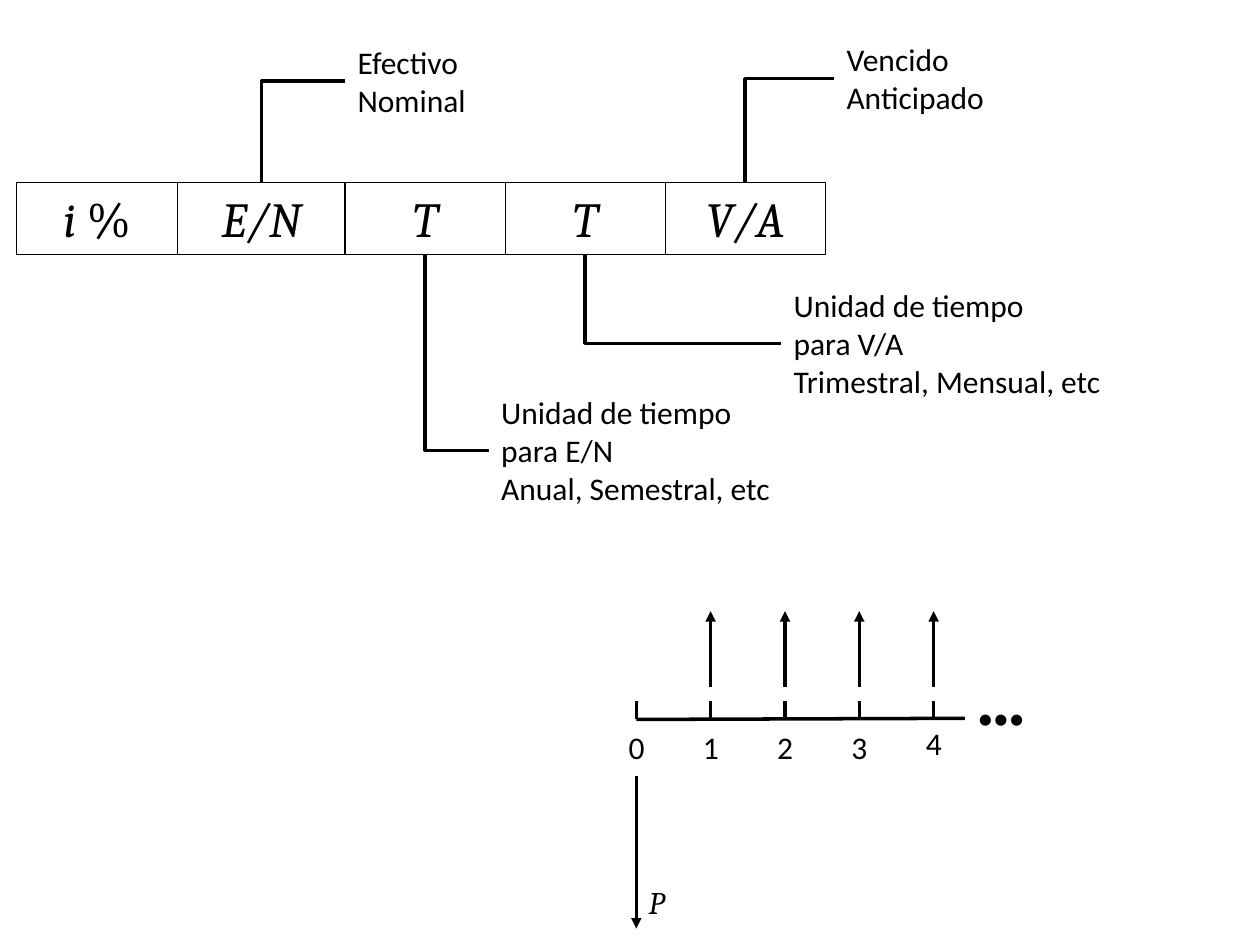
from pptx import Presentation
from pptx.dml.color import RGBColor
from pptx.enum import shapes, text
from pptx.oxml.ns import qn
from pptx.util import Inches, Pt
from lxml import etree

THEME = {
    "ink": RGBColor(0, 0, 0),
    "paper": RGBColor(255, 255, 255),
    "label": {"name": "Calibri", "size": Pt(18)},
    "symbol": {"name": "Cambria", "size": Pt(18), "italic": True},
    "formula": {"name": "Cambria", "size": Pt(28), "italic": True},
    "line": Pt(2),
    "border": Pt(0.75),
}

deck = Presentation()
deck.slide_width, deck.slide_height = Inches(10), Inches(7.5)
page = deck.slides.add_slide(deck.slide_layouts[6])


def add_text(lines, left, top, width, height, style="label", wrap=False):
    """Add a text box; each line is a list of (words, font overrides) spans."""
    box = page.shapes.add_textbox(
        Inches(left), Inches(top), Inches(width), Inches(height))
    box.text_frame.word_wrap = wrap
    box.text_frame.auto_size = text.MSO_AUTO_SIZE.SHAPE_TO_FIT_TEXT
    for index, spans in enumerate(lines):
        para = box.text_frame.paragraphs[0] if index == 0 else box.text_frame.add_paragraph()
        for words, overrides in spans:
            span = para.add_run()
            span.text = words
            for name, value in {**THEME[style], **overrides}.items():
                setattr(span.font, name, value)
            span.font.color.rgb = THEME["ink"]
    return box


def add_line(x1, y1, x2, y2, arrow=False, kind=shapes.MSO_CONNECTOR.STRAIGHT):
    line = page.shapes.add_connector(
        kind, Inches(x1), Inches(y1), Inches(x2), Inches(y2))
    line.line.color.rgb = THEME["ink"]
    line.line.width = THEME["line"]
    properties = line._element.spPr
    if arrow:
        etree.SubElement(properties.find(qn("a:ln")), qn("a:tailEnd"), type="triangle")
    etree.SubElement(properties, qn("a:effectLst"))
    return line


# Cash flow diagram
AXIS_Y, START_X, STEP = 5.71, 5.05, 0.59
add_line(START_X, AXIS_Y, 7.95, 5.7)
dots = add_text([[("•••", {})]], 7.66, 5.49, 0.58, 0.4)
dots.fill.solid()
dots.fill.fore_color.rgb = THEME["paper"]

for period in range(5):
    x = START_X + period * STEP
    label_top = 5.7 if period == 4 else 5.73
    add_text([[(str(period), {})]], x - 0.16, label_top, 0.33, 0.4)
    add_line(x, AXIS_Y, x, 5.56)
    if period:
        add_line(x, 5.45, x, 4.85, arrow=True)

add_line(START_X, 6.16, START_X, 7.37, arrow=True)
add_text([[("P", {})]], START_X, 6.96, 0.38, 0.4, "symbol", wrap=True)

# Interest rate notation: cells side by side
cells = []
cell_left = 0.13
for spans, width in [
    ([("i ", {}), ("%", {"italic": False})], 1.28),
    ([("E/N", {})], 1.33),
    ([("T", {})], 1.27),
    ([("T", {})], 1.27),
    ([("V/A", {})], 1.27),
]:
    cell = add_text([spans], cell_left, 1.45, width, 0.57, "formula", wrap=True)
    cell.text_frame.paragraphs[0].alignment = text.PP_ALIGN.CENTER
    cell.line.color.rgb = THEME["ink"]
    cell.line.width = THEME["border"]
    cells.append(cell)
    cell_left += width

# Explanations, each joined to the top (0) or bottom (2) of its cell
for cell_index, side, lines, area in [
    (1, 0, ["Efectivo", "Nominal"], (2.74, 0.29, 1.07, 0.71)),
    (4, 0, ["Vencido", "Anticipado"], (6.62, 0.27, 1.31, 0.71)),
    (2, 2, ["Unidad de tiempo", "para E/N", "Anual, Semestral, etc"],
     (3.88, 3.07, 2.37, 1.01)),
    (3, 2, ["Unidad de tiempo", "para V/A", "Trimestral, Mensual, etc"],
     (6.2, 2.22, 2.69, 1.01)),
]:
    note = add_text([[(words, {})] for words in lines], *area)
    elbow = add_line(0, 0, 0, 0, kind=shapes.MSO_CONNECTOR.ELBOW)
    elbow._element.spPr.find(qn("a:prstGeom")).set("prst", "bentConnector2")
    elbow.begin_connect(note, 1)
    elbow.end_connect(cells[cell_index], side)

deck.save("out.pptx")
